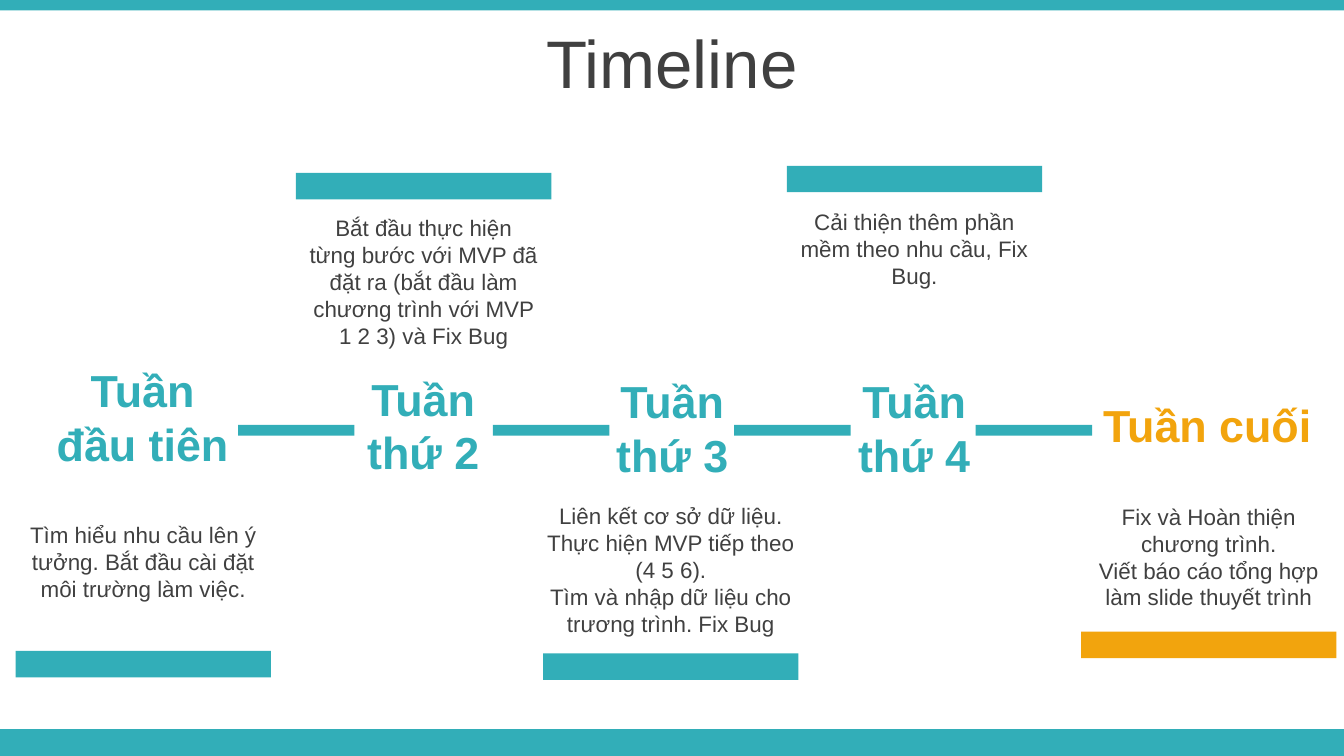
from dataclasses import dataclass

from pptx import Presentation
from pptx.dml.color import RGBColor
from pptx.enum.shapes import MSO_SHAPE
from pptx.enum.text import MSO_ANCHOR, PP_ALIGN
from pptx.util import Pt

TEAL, ORANGE, GREY = "32AEB8", "F2A40D", "404040"
FONT = "Arial"
SLIDE_W, SLIDE_H = 720, 405
BAR_W, BAR_H = 136.8, 14.2
LINK_TOP, LINK_W, LINK_H = 227.6, 62.4, 5.8


@dataclass
class Box:
    left: float
    top: float
    width: float
    height: float


@dataclass
class Week:
    label: str
    label_box: Box
    bar_left: float
    bar_top: float
    note: list[str]
    note_top: float
    note_height: float
    note_width: float = BAR_W
    color: str = TEAL

    @property
    def note_box(self) -> Box:
        """The note is centred on its bar."""
        left = self.bar_left + (BAR_W - self.note_width) / 2
        return Box(left, self.note_top, self.note_width, self.note_height)


WEEKS = [
    Week("Tuần đầu tiên", Box(18.8, 190.9, 115.2, 65.4), 8.4, 348.7,
         ["Tìm hiểu nhu cầu lên ý tưởng. Bắt đầu cài đặt môi trường làm việc."],
         275.8, 50.9),
    Week("Tuần thứ 2", Box(186.4, 195.4, 80.6, 65.4), 158.6, 92.6,
         ["Bắt đầu thực hiện từng bước với MVP đã đặt ra (bắt đầu làm chương "
          "trình với MVP 1 2 3) và Fix Bug"],
         111.4, 80),
    Week("Tuần thứ 3", Box(319.8, 196.9, 80.6, 65.4), 291, 350,
         ["Liên kết cơ sở dữ liệu.",
          "Thực hiện MVP tiếp theo (4 5 6).",
          "Tìm và nhập dữ liệu cho trương trình. Fix Bug"],
         265.7, 80, note_width=146.9),
    Week("Tuần thứ 4", Box(449.4, 196.9, 80.6, 65.4), 421.5, 88.8,
         ["Cải thiện thêm phần mềm theo nhu cầu, Fix Bug."],
         108, 50.9),
    Week("Tuần cuối", Box(578, 209.7, 137.5, 36.4), 579.2, 338.4,
         ["Fix và Hoàn thiện chương trình.",
          "Viết báo cáo tổng hợp làm slide thuyết trình"],
         265.9, 65.5, color=ORANGE),
]
LINK_LEFTS = [127.5, 264.1, 393.3, 522.7]


def rgb(color: str) -> RGBColor:
    return RGBColor.from_string(color)


def place(box: Box) -> tuple[Pt, Pt, Pt, Pt]:
    return Pt(box.left), Pt(box.top), Pt(box.width), Pt(box.height)


def add_bar(s, box: Box, color: str = TEAL) -> None:
    sp = s.shapes.add_shape(MSO_SHAPE.RECTANGLE, *place(box))
    sp.shadow.inherit = False
    sp.fill.solid()
    sp.fill.fore_color.rgb = rgb(color)
    sp.line.fill.background()


def add_text(s, box: Box, lines: list[str], size: float, color: str,
             bold: bool = False, anchor: MSO_ANCHOR = MSO_ANCHOR.TOP) -> None:
    tf = s.shapes.add_textbox(*place(box)).text_frame
    tf.word_wrap = True
    tf.vertical_anchor = anchor
    for i, line in enumerate(lines):
        p = tf.add_paragraph() if i else tf.paragraphs[0]
        p.alignment = PP_ALIGN.CENTER
        r = p.add_run()
        r.text = line
        r.font.name = FONT
        r.font.size = Pt(size)
        r.font.bold = bold
        r.font.color.rgb = rgb(color)


def main() -> None:
    prs = Presentation()
    prs.slide_width, prs.slide_height = Pt(SLIDE_W), Pt(SLIDE_H)
    s = prs.slides.add_slide(prs.slide_layouts[6])

    # Edge bands and title
    add_bar(s, Box(0, 390.6, SLIDE_W, 14.4))
    add_bar(s, Box(0, 0, SLIDE_W, 5.6))
    add_text(s, Box(0, 10.1, SLIDE_W, 45.4), ["Timeline"], 36, GREY,
             anchor=MSO_ANCHOR.MIDDLE)

    # Links between the weeks
    for left in LINK_LEFTS:
        add_bar(s, Box(left, LINK_TOP, LINK_W, LINK_H))

    # Weeks: label, note and bar
    for week in WEEKS:
        add_text(s, week.label_box, [week.label], 24, week.color, bold=True)
        add_text(s, week.note_box, week.note, 12, GREY)
        add_bar(s, Box(week.bar_left, week.bar_top, BAR_W, BAR_H), week.color)

    prs.save("out.pptx")


if __name__ == "__main__":
    main()
